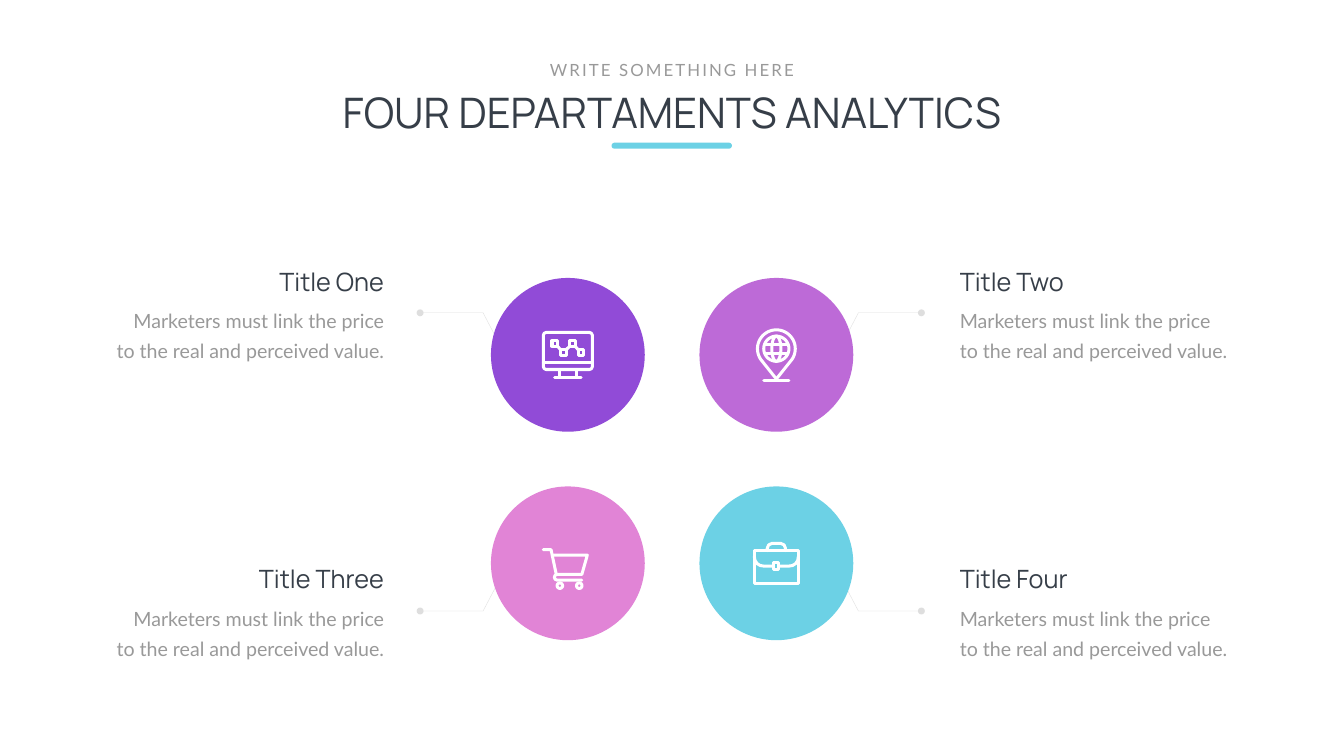
"""Build the four departments analytics slide."""
import math

from lxml import etree
from pptx import Presentation
from pptx.dml.color import RGBColor
from pptx.enum.shapes import MSO_SHAPE
from pptx.enum.text import MSO_ANCHOR, MSO_AUTO_SIZE, PP_ALIGN
from pptx.oxml.ns import qn
from pptx.util import Pt

OVAL, ROUNDED = MSO_SHAPE.OVAL, MSO_SHAPE.ROUNDED_RECTANGLE
LEFT, CENTER, RIGHT = PP_ALIGN.LEFT, PP_ALIGN.CENTER, PP_ALIGN.RIGHT
TOP, NO_AUTOSIZE = MSO_ANCHOR.TOP, MSO_AUTO_SIZE.NONE

DARK = RGBColor(0x36, 0x3E, 0x48)
GRAY = RGBColor(0x99, 0x99, 0x99)
SILVER = RGBColor(0xBF, 0xBF, 0xBF)
WHITE = RGBColor(0xFF, 0xFF, 0xFF)
VIOLET = RGBColor(0x91, 0x4B, 0xD7)
ORCHID = RGBColor(0xBD, 0x6A, 0xD7)
PINK = RGBColor(0xE1, 0x84, 0xD6)
CYAN = RGBColor(0x6C, 0xD1, 0xE5)

CIRCLE_SIZE = 219.7
ICON_STROKE = 4.3
BODY_TEXT = "Marketers must link the price to the real and perceived value."


def format_text(shape, box, text, font_name, size, color, alignment):
    shape.left, shape.top, shape.width, shape.height = [Pt(value) for value in box]
    frame = shape.text_frame
    frame.word_wrap = True
    frame.auto_size = NO_AUTOSIZE
    frame.vertical_anchor = TOP
    paragraph = frame.paragraphs[0]
    paragraph.alignment = alignment
    run = paragraph.add_run()
    run.text = text
    run.font.name = font_name
    run.font.size = Pt(size)
    run.font.color.rgb = color
    return paragraph


def add_path(contours, center_x, center_y, color, width):
    builder = None
    for contour in contours:
        corners = [(Pt(center_x + x), Pt(center_y + y)) for x, y in contour]
        if builder is None:
            builder = slide.shapes.build_freeform(*corners[0])
        else:
            builder.move_to(*corners[0])
        builder.add_line_segments(corners[1:], close=False)
    shape = builder.convert_to_shape()
    shape.shadow.inherit = False
    shape.fill.background()
    shape.line.color.rgb = color
    shape.line.width = Pt(width)
    return shape._element.spPr.find(qn("a:ln"))


unit_circle = [
    (math.cos(math.radians(angle)), math.sin(math.radians(angle))) for angle in range(0, 361, 10)
]
pin_arc = [
    (27 * math.cos(math.radians(angle)), -8.7 + 27 * math.sin(math.radians(angle)))
    for angle in range(145, 396, 5)
]
flap = [(-31.5, -10), (-30.5, -4), (-27.5, 0.5), (-23, 3.2), (-18, 4), (-5, 4)]

screen = [
    [(-35, -28), (-33.8, -30.8), (-31, -32), (31, -32), (33.8, -30.8), (35, -28),
     (35, 17), (33.8, 19.8), (31, 21), (-31, 21), (-33.8, 19.8), (-35, 17), (-35, -28)],
    [(-35, 10.8), (35, 10.8)],
    [(-11.8, 21), (-11.8, 31.7)],
    [(11.8, 21), (11.8, 31.7)],
    [(-19, 31.7), (19, 31.7)],
]
graph = [
    [(x - 4, y - 4), (x + 4, y - 4), (x + 4, y + 4), (x - 4, y + 4), (x - 4, y - 4)]
    for x, y in [(-18.6, -16.2), (-6.4, -3.3), (6.6, -16.2), (18.8, -3.3)]
] + [
    [(-14.6, -12.2), (-10.4, -7.3)],
    [(-2.4, -7.3), (2.6, -12.2)],
    [(10.6, -12.2), (14.8, -7.3)],
]
globe = [[(radius * x, -8.7 + 18 * y) for x, y in unit_circle] for radius in (18, 6.5)] + [
    [(-16.6, y), (16.6, y)] for y in (-15.1, -2.3)
]
pin = [pin_arc + [(0, 34.5), pin_arc[0]], [(-18, 36), (18, 36)]]
basket = [
    [(-35, -19.5), (-24, -19.5), (-16.5, 16)],
    [(-22, -11.6), (27.8, -11.6), (20, 16), (-15.5, 16),
     (-18.3, 17.2), (-19.2, 20), (-18.3, 22.8), (-15.5, 24), (20, 24)],
]
wheels = [[[(center + 3.9 * x, 32 + 3.9 * y) for x, y in unit_circle]] for center in (-11.4, 16.3)]
briefcase = [
    [(-31.5, -17.8), (31.5, -17.8), (31.5, 28.2), (-31.5, 28.2), (-31.5, -17.8)],
    [(-3.7, -1.2), (3.7, -1.2), (3.7, 8.8), (-3.7, 8.8), (-3.7, -1.2)],
    [(-13, -18), (-13, -21.5), (-11, -26.3), (-6, -28.5),
     (6, -28.5), (11, -26.3), (13, -21.5), (13, -18)],
    flap,
    [(-x, y) for x, y in flap],
]

departments = [
    ("Title One", 174.2, -1, -1, VIOLET, [screen, graph]),
    ("Title Two", 173.5, 1, -1, ORCHID, [globe, pin]),
    ("Title Three", 202.3, -1, 1, PINK, [basket] + wheels),
    ("Title Four", 179.3, 1, 1, CYAN, [briefcase]),
]

presentation = Presentation()
presentation.slide_width = Pt(1919.52)
presentation.slide_height = Pt(1080)
slide = presentation.slides.add_slide(presentation.slide_layouts[5])

format_text(slide.shapes.title, (381.6, 120.2, 1156.3, 80),
            "FOUR DEPARTAMENTS ANALYTICS", "Manrope", 60, DARK, CENTER)
subtitle = format_text(slide.shapes.add_textbox(0, 0, 0, 0), (774.7, 81.4, 370, 36),
                       "WRITE SOMETHING HERE", "Lato", 24, GRAY, CENTER)
subtitle.runs[0].font._element.set("spc", "300")

underline = slide.shapes.add_shape(ROUNDED, Pt(873.4), Pt(203.8), Pt(172), Pt(8.6))
underline.adjustments[0] = 0.5
underline.shadow.inherit = False
underline.fill.solid()
underline.fill.fore_color.rgb = CYAN
underline.line.fill.background()

for title, title_width, side, row, color, icon_parts in departments:
    leader = [(side * x, row * y) for x, y in [(245, 169), (268, 213), (358, 213)]]
    line = add_path([leader], 958, 659.9, SILVER, 0.5)
    etree.SubElement(line.find(".//" + qn("a:srgbClr")), qn("a:alpha"), val="50000")
    etree.SubElement(line, qn("a:tailEnd"), type="oval", w="lg", len="lg")

    center_x = 959.9 + side * 148.9
    center_y = 655.8 + row * 148.9
    circle = slide.shapes.add_shape(
        OVAL, Pt(center_x - CIRCLE_SIZE / 2), Pt(center_y - CIRCLE_SIZE / 2),
        Pt(CIRCLE_SIZE), Pt(CIRCLE_SIZE))
    circle.shadow.inherit = False
    circle.fill.solid()
    circle.fill.fore_color.rgb = color
    circle.line.fill.background()

    for contours in icon_parts:
        line = add_path(contours, center_x, center_y, WHITE, ICON_STROKE)
        line.set("cap", "rnd")
        etree.SubElement(line, qn("a:round"))

    alignment = RIGHT if side < 0 else LEFT
    title_left = 555.4 - title_width if side < 0 else 1363.7
    body_left = 153.8 if side < 0 else 1363.7
    title_top, body_top = (376.6, 428.4) if row < 0 else (801.6, 854.6)
    format_text(slide.shapes.add_textbox(0, 0, 0, 0), (title_left, title_top, title_width, 51.1),
                title, "Manrope", 36, DARK, alignment)
    body = format_text(slide.shapes.add_textbox(0, 0, 0, 0), (body_left, body_top, 401.8, 89.3),
                       BODY_TEXT, "Lato", 28, GRAY, alignment)
    body.line_spacing = Pt(43)

presentation.save("out.pptx")
